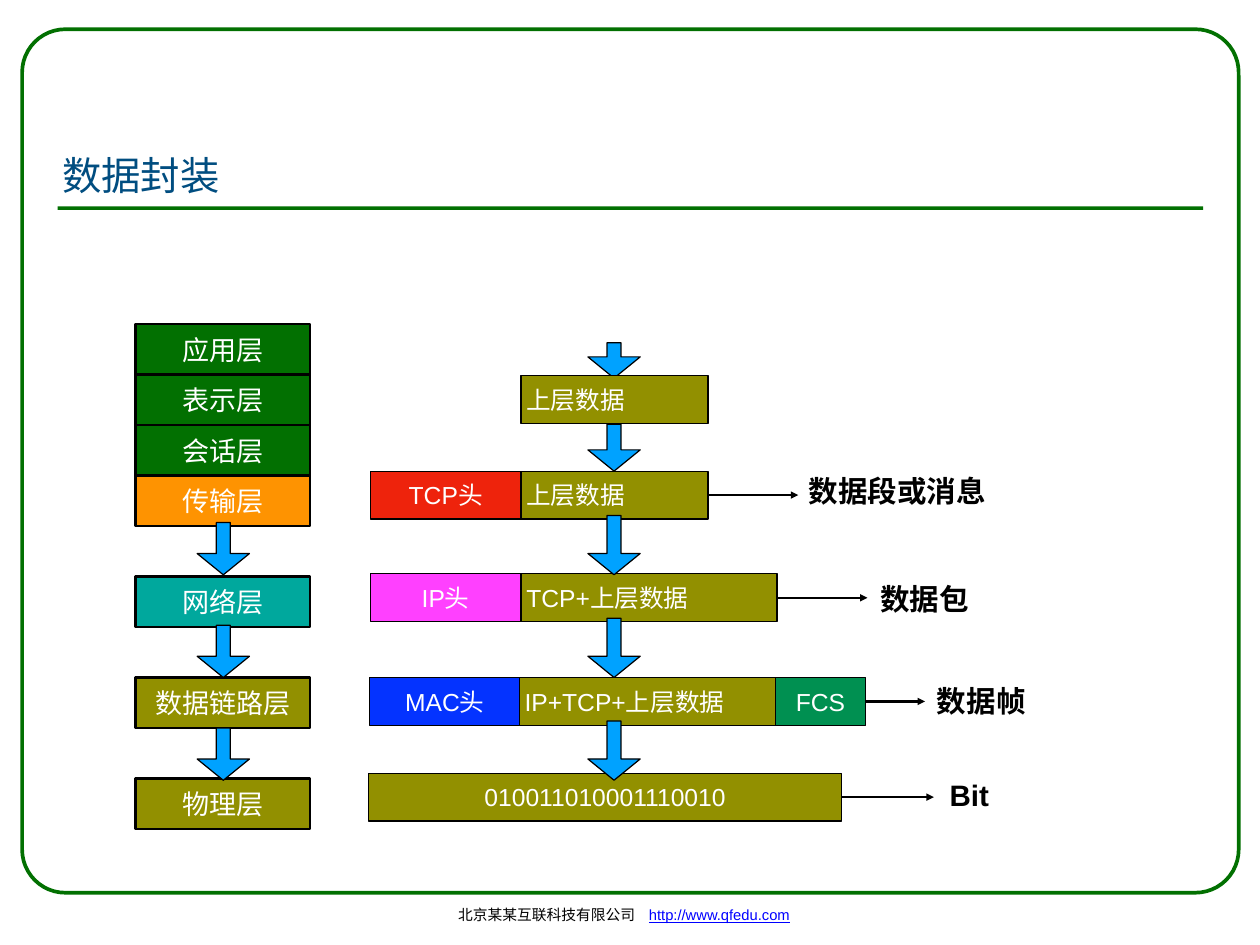
from dataclasses import dataclass
from lxml import etree
from pptx import Presentation
from pptx.dml.color import RGBColor
from pptx.enum import shapes, text
from pptx.oxml.ns import qn
from pptx.util import Inches, Pt


@dataclass(frozen=True)
class Theme:
    """Colours, font and type sizes of the slide."""
    font: str = "Arial"
    green: str = "027001"
    navy: str = "004D80"
    olive: str = "929000"
    orange: str = "FE9301"
    teal: str = "00A89D"
    red: str = "EE230C"
    pink: str = "FF40FF"
    blue: str = "0433FF"
    mint: str = "009051"
    sky: str = "00A2FF"
    link: str = "0000FF"
    black: str = "000000"
    white: str = "FFFFFF"
    title: int = 32
    label: int = 24
    layer: int = 22
    data: int = 20
    foot: int = 12


T = Theme()
TITLE = "数据封装"
FOOT = [("北京某某互联科技有限公司", 5.11, 2.12, T.black, False),
        ("http://www.qfedu.com", 7.26, 1.72, T.link, True)]
LAYERS = [("应用层", 0, T.green), ("表示层", 1, T.green), ("会话层", 2, T.green),
          ("传输层", 3, T.orange), ("网络层", 5, T.teal),
          ("数据链路层", 7, T.olive), ("物理层", 9, T.olive)]
ROWS = [
    (4.24, [("上层数据", 5.88, 2.11, T.olive)], None),
    (5.32, [("TCP头", 4.18, 1.7, T.red), ("上层数据", 5.88, 2.11, T.olive)],
     ("数据段或消息", 9.01, 9.06, 5.26, 2.13, 0.57)),
    (6.48, [("IP头", 4.18, 1.7, T.pink), ("TCP+上层数据", 5.88, 2.89, T.olive)],
     ("数据包", 9.79, 9.87, 6.47, 1.13, 0.57)),
    (7.65, [("MAC头", 4.17, 1.7, T.blue), ("IP+TCP+上层数据", 5.86, 2.92, T.olive),
            ("FCS", 8.75, 1.02, T.mint)],
     ("数据帧", 10.44, 10.51, 7.63, 1.13, 0.57)),
    (8.73, [("010011010001110010", 4.16, 5.34, T.olive)],
     ("Bit", 10.54, 10.66, 8.72, 0.56, 0.5)),
]
STEP, TALL, WIDE = 0.57, 0.54, 0.59
FLOWS = [(2.52, 5.9 + 1.16 * i, 0.59) for i in range(3)]
FLOWS += [(6.93, 4.79, 0.53)] + [(6.93, 5.82 + 1.16 * i, 0.67) for i in range(3)]
MSO, ALIGN = shapes.MSO_SHAPE, text.PP_ALIGN


def rgb(code):
    """Turn a hex code into a colour."""
    return RGBColor.from_string(code)


def write(shape, words, size, color, align=ALIGN.CENTER, bold=False, wrap=True):
    """Set and format the one line of text in a shape."""
    frame = shape.text_frame
    frame.text = words
    frame.word_wrap = wrap
    frame.auto_size = text.MSO_AUTO_SIZE.NONE
    frame.vertical_anchor = text.MSO_ANCHOR.MIDDLE
    for side in ("left", "right", "top", "bottom"):
        setattr(frame, "margin_" + side, Inches(0.06))
    para = frame.paragraphs[0]
    para.alignment = align
    font = para.runs[0].font
    font.name, font.size, font.bold = T.font, Pt(size), bold
    font.color.rgb = rgb(color)
    return font


def draw(slide, kind, spot, fill=None, line=None, weight=1):
    """Add a preset shape with plain fill and outline."""
    shape = slide.shapes.add_shape(kind, *map(Inches, spot))
    shape.shadow.inherit = False
    if fill:
        shape.fill.solid()
        shape.fill.fore_color.rgb = rgb(fill)
    else:
        shape.fill.background()
    if line:
        shape.line.color.rgb = rgb(line)
        shape.line.width = Pt(weight)
    else:
        shape.line.fill.background()
    return shape


def flow(slide, mid, top, tall):
    """Add a downward block arrow centred on mid."""
    spot = (mid - WIDE / 2, top, WIDE, tall)
    arrow = draw(slide, MSO.DOWN_ARROW, spot, T.sky, T.black)
    arrow.adjustments[0] = 0.265
    arrow.adjustments[1] = 0.24 / min(WIDE, tall)


def point(slide, box, end):
    """Lead a thin arrow from the right side of a box."""
    mid = box.top + box.height // 2
    line = slide.shapes.add_connector(
        shapes.MSO_CONNECTOR.STRAIGHT, box.left + box.width, mid, Inches(end), mid)
    line.begin_connect(box, 3)
    line.line.color.rgb = rgb(T.black)
    line.line.width = Pt(2)
    etree.SubElement(line.line._get_or_add_ln(), qn("a:tailEnd"), type="triangle")
    etree.SubElement(line._element.spPr, qn("a:effectLst"))


def note(slide, words, spot, size, color, bold=False):
    """Add an unwrapped text box."""
    box = slide.shapes.add_textbox(*map(Inches, spot))
    return write(box, words, size, color, bold=bold, wrap=False)


def frame(slide):
    """Add the border, rule, footer and title."""
    edge = draw(slide, MSO.ROUNDED_RECTANGLE, (0.25, 0.33, 13.73, 9.75),
                line=T.green, weight=3)
    edge.adjustments[0] = 0.05
    draw(slide, MSO.RECTANGLE, (0.65, 2.33, 12.93, 0.04), T.green)
    for words, left, wide, color, under in FOOT:
        font = note(slide, words, (left, 10.15, wide, 0.35), T.foot, color)
        font.underline = under
    head = slide.shapes.title
    head.left, head.top, head.width, head.height = map(Inches, (0.64, 1.62, 8.37, 0.68))
    write(head, TITLE, T.title, T.navy, ALIGN.LEFT)
    head.text_frame.vertical_anchor = text.MSO_ANCHOR.BOTTOM


def main():
    """Build the data encapsulation slide."""
    deck = Presentation()
    deck.slide_width, deck.slide_height = Inches(14.22), Inches(10.67)
    slide = deck.slides.add_slide(deck.slide_layouts[5])
    frame(slide)
    for words, slot, color in LAYERS:
        spot = (1.53, 3.66 + STEP * slot, 1.97, STEP)
        box = draw(slide, MSO.RECTANGLE, spot, color, T.black, 2)
        write(box, words, T.layer, T.white)
    flow(slide, 6.93, 3.87, 0.4)
    for top, cells, goal in ROWS:
        for words, left, wide, color in cells:
            box = draw(slide, MSO.RECTANGLE, (left, top, wide, TALL), color, T.black)
            align = ALIGN.LEFT if "上层数据" in words else ALIGN.CENTER
            write(box, words, T.data, T.white, align)
        if goal:
            words, end, *spot = goal
            point(slide, box, end)
            note(slide, words, spot, T.label, T.black, True)
    for spot in FLOWS:
        flow(slide, *spot)
    deck.save("out.pptx")


if __name__ == "__main__":
    main()
